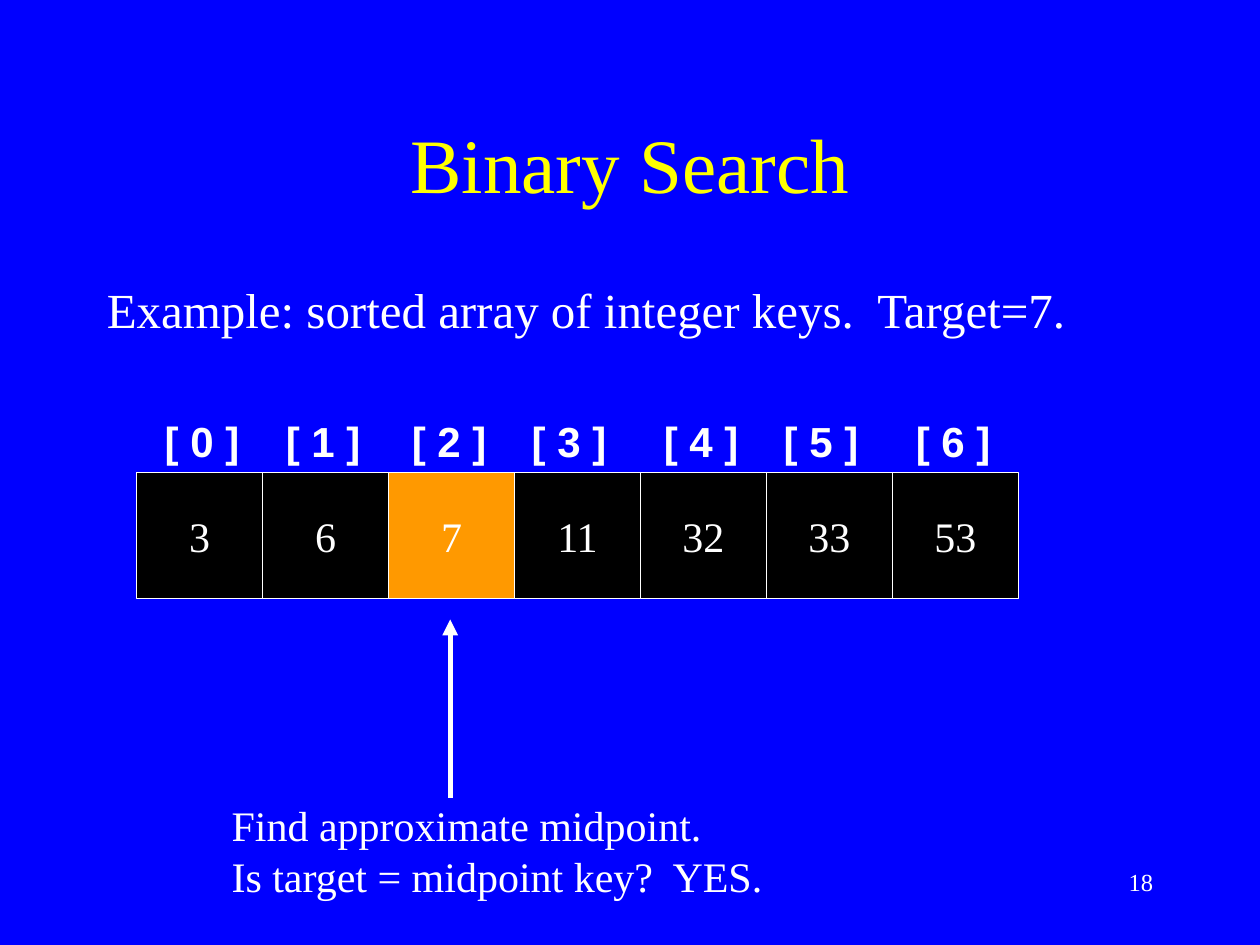
"""Build the binary search slide: a sorted array with its midpoint key highlighted."""
from dataclasses import dataclass

from lxml.etree import SubElement
from pptx import Presentation
from pptx.dml.color import RGBColor
from pptx.enum.shapes import MSO_CONNECTOR, MSO_SHAPE
from pptx.enum.text import MSO_ANCHOR, MSO_AUTO_SIZE, PP_ALIGN
from pptx.oxml.ns import qn
from pptx.util import Pt

TITLE = "Binary Search"
EXAMPLE = "Example: sorted array of integer keys.  Target=7."
QUESTION = "Find approximate midpoint.\nIs target = midpoint key?  YES."
PAGE_NUMBER = "18"
KEYS = [3, 6, 7, 11, 32, 33, 53]
MIDPOINT = 2
LABEL_INSETS = [9, 6.25, 6.25, 2.75, 6.25, 2.75, 6.25]

ARRAY_LEFT, ARRAY_TOP, CELL = 78, 270, 72
LABEL_TOP, LABEL_WIDTH, LABEL_HEIGHT = 234, 57, 36
ARROW_TOP, ARROW_BOTTOM = 354, 456


@dataclass(frozen=True)
class Theme:
    background: RGBColor = RGBColor(0x00, 0x00, 0xFF)
    title: RGBColor = RGBColor(0xFF, 0xFF, 0x00)
    text: RGBColor = RGBColor(0xFF, 0xFF, 0xFF)
    cell: RGBColor = RGBColor(0x00, 0x00, 0x00)
    highlight: RGBColor = RGBColor(0xFF, 0x99, 0x00)
    serif: str = "Times New Roman"
    sans: str = "Arial"
    title_size: int = 44
    example_size: int = 28
    body_size: int = 24
    number_size: int = 14


THEME = Theme()


def write(shape, text, size=THEME.body_size, font=THEME.serif, color=THEME.text,
          bold=False, align=PP_ALIGN.LEFT, anchor=MSO_ANCHOR.TOP, wrap=False):
    frame = shape.text_frame
    frame.text = text
    frame.word_wrap = wrap
    frame.vertical_anchor = anchor
    for paragraph in frame.paragraphs:
        paragraph.alignment = align
        paragraph.font.name = font
        paragraph.font.size = Pt(size)
        paragraph.font.bold = bold
        paragraph.font.color.rgb = color
    return frame


def add_text(slide, text, left, top, width, height, **text_format):
    box = slide.shapes.add_textbox(Pt(left), Pt(top), Pt(width), Pt(height))
    frame = write(box, text, **text_format)
    if not frame.word_wrap:
        frame.auto_size = MSO_AUTO_SIZE.SHAPE_TO_FIT_TEXT


def add_title(slide):
    title = slide.shapes.title
    title.left, title.top, title.width, title.height = Pt(54), Pt(48), Pt(612), Pt(90)
    write(title, TITLE, size=THEME.title_size, color=THEME.title,
          align=PP_ALIGN.CENTER, anchor=MSO_ANCHOR.MIDDLE, wrap=True)


def add_array(slide):
    for index, (key, inset) in enumerate(zip(KEYS, LABEL_INSETS)):
        left = ARRAY_LEFT + index * CELL
        cell = slide.shapes.add_shape(
            MSO_SHAPE.RECTANGLE, Pt(left), Pt(ARRAY_TOP), Pt(CELL), Pt(CELL))
        cell.shadow.inherit = False
        cell.fill.solid()
        cell.fill.fore_color.rgb = THEME.highlight if index == MIDPOINT else THEME.cell
        cell.line.color.rgb = THEME.text
        cell.line.width = Pt(0.75)
        write(cell, str(key), align=PP_ALIGN.CENTER, anchor=MSO_ANCHOR.MIDDLE)
        add_text(slide, f"[ {index} ]", left + inset, LABEL_TOP, LABEL_WIDTH, LABEL_HEIGHT,
                 font=THEME.sans, bold=True)


def add_midpoint_arrow(slide):
    center = ARRAY_LEFT + (MIDPOINT + 0.5) * CELL - 0.75
    arrow = slide.shapes.add_connector(
        MSO_CONNECTOR.STRAIGHT, Pt(center), Pt(ARROW_TOP), Pt(center), Pt(ARROW_BOTTOM))
    arrow.line.color.rgb = THEME.text
    arrow.line.width = Pt(3)
    SubElement(arrow.line._get_or_add_ln(), qn("a:headEnd"), type="triangle")
    SubElement(arrow._element.spPr, qn("a:effectLst"))


def main():
    presentation = Presentation()
    presentation.slide_width, presentation.slide_height = Pt(720), Pt(540)
    slide = presentation.slides.add_slide(presentation.slide_layouts[5])
    slide.background.fill.solid()
    slide.background.fill.fore_color.rgb = THEME.background
    add_title(slide)
    add_text(slide, EXAMPLE, 54, 156, 565, 243, size=THEME.example_size)
    add_array(slide)
    add_midpoint_arrow(slide)
    add_text(slide, QUESTION, 125.25, 453.5, 319, 65)
    add_text(slide, PAGE_NUMBER, 516, 492, 150, 36, size=THEME.number_size,
             align=PP_ALIGN.RIGHT, wrap=True)
    presentation.save("out.pptx")


if __name__ == "__main__":
    main()
